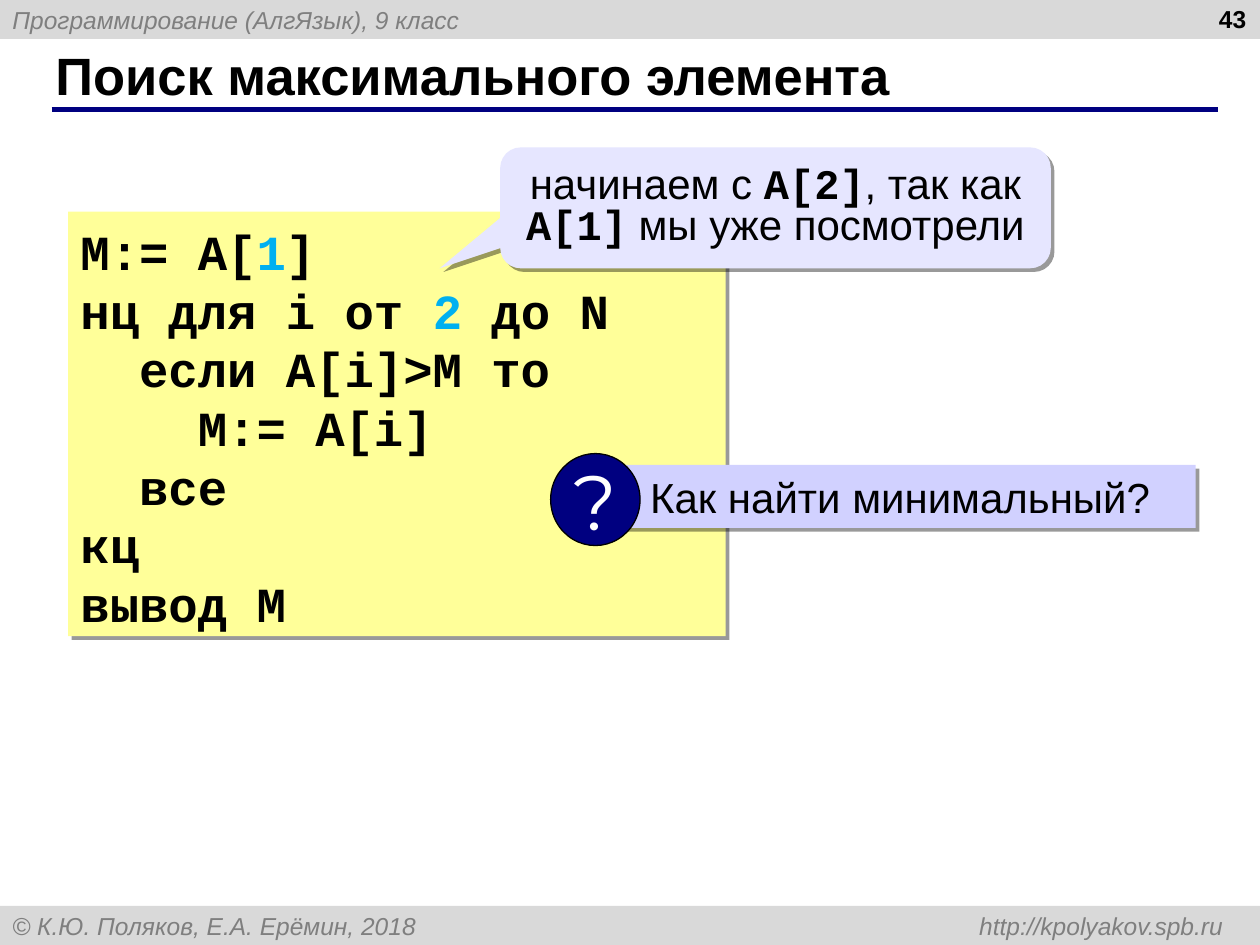
"""Builds the programming slide on finding the maximum element of an array."""
from lxml import etree
from pptx import Presentation
from pptx import util as u
from pptx.dml.color import RGBColor
from pptx.enum import shapes, text
from pptx.oxml import ns

BLACK = RGBColor(0, 0, 0)
WHITE = RGBColor(255, 255, 255)
NAVY = RGBColor(0, 0, 128)
BAR_GRAY = RGBColor(0xD9, 0xD9, 0xD9)
TEXT_GRAY = RGBColor(0x7F, 0x7F, 0x7F)
YELLOW = RGBColor(0xFF, 0xFF, 0x99)
LAVENDER = RGBColor(0xE6, 0xE6, 0xFF)
LILAC = RGBColor(0xD1, 0xD1, 0xFF)
CYAN = RGBColor(0, 0xB0, 0xF0)

TITLE = "Поиск максимального элемента"
SLIDE_NUMBER = "43"
HEADER = "Программирование (АлгЯзык), 9 класс"
FOOTER = "© К.Ю. Поляков, Е.А. Ерёмин, 2018\thttp://kpolyakov.spb.ru"
CODE = [
    ["M:= A[", ("1",), "]"],
    ["нц для i от ", ("2",), " до N"],
    ["  если A[i]>M то"],
    ["    M:= A[i]"],
    ["  все"],
    ["кц"],
    ["вывод M"],
]
CALLOUT = [["начинаем с ", ("A[2]",), ", так как ", ("A[1]",), " мы уже посмотрели"]]
QUESTION = "Как найти минимальный?"


def style_font(font, size, color, name="Arial", bold=False, italic=False):
    font.size = u.Pt(size)
    font.name = name
    font.bold = bold
    font.italic = italic
    font.color.rgb = color


def prepare_frame(shape, anchor, left=0.1, top=0.05, right=0.1):
    frame = shape.text_frame
    frame.auto_size = text.MSO_AUTO_SIZE.NONE
    frame.word_wrap = True
    frame.vertical_anchor = anchor
    frame.margin_left, frame.margin_right = u.Inches(left), u.Inches(right)
    frame.margin_top, frame.margin_bottom = u.Inches(top), u.Inches(0.05)
    return frame


def add_box(parent, kind, place, fill, shadow=False):
    shape = parent.add_shape(kind, *map(u.Inches, place))
    shape.fill.solid()
    shape.fill.fore_color.rgb = fill
    shape.line.fill.background()
    shape.shadow.inherit = False
    if shadow:
        effects = shape._element.spPr.find(ns.qn("a:effectLst"))
        outer = etree.SubElement(effects, ns.qn("a:outerShdw"), dist=str(u.Pt(3)),
                                 dir="2700000", algn="ctr", rotWithShape="0")
        color = etree.SubElement(outer, ns.qn("a:srgbClr"), val="000000")
        etree.SubElement(color, ns.qn("a:alpha"), val="40000")
    return shape


def write_line(frame, line, align=text.PP_ALIGN.LEFT, **style):
    paragraph = frame.paragraphs[0]
    paragraph.text = line
    paragraph.alignment = align
    style_font(paragraph.font, **style)
    return paragraph


def write_runs(frame, lines, align, spacing, plain, marked):
    for index, line in enumerate(lines):
        paragraph = frame.add_paragraph() if index else frame.paragraphs[0]
        paragraph.alignment = align
        paragraph.line_spacing = spacing
        for piece in line:
            is_marked = isinstance(piece, tuple)
            run = paragraph.add_run()
            run.text = piece[0] if is_marked else piece
            style_font(run.font, **(marked if is_marked else plain))


def add_bars(slide):
    for top, line in ((0, HEADER), (7.19, FOOTER)):
        bar = add_box(slide.shapes, shapes.MSO_SHAPE.RECTANGLE, (0, top, 10, 0.31), BAR_GRAY)
        frame = prepare_frame(bar, text.MSO_ANCHOR.MIDDLE)
        if "\t" in line:
            properties = frame.paragraphs[0]._p.get_or_add_pPr()
            tabs = etree.SubElement(properties, ns.qn("a:tabLst"))
            etree.SubElement(tabs, ns.qn("a:tab"), pos=str(u.Inches(9.61)), algn="r")
        write_line(frame, line, size=14, color=TEXT_GRAY, italic=True)


def add_heading(slide):
    rule = slide.shapes.add_connector(shapes.MSO_CONNECTOR.STRAIGHT,
                                      *map(u.Inches, (0.41, 0.87, 9.67, 0.87)))
    rule.line.color.rgb = NAVY
    rule.line.width = u.Pt(3)
    etree.SubElement(rule._element.spPr, ns.qn("a:effectLst"))
    title = slide.shapes.title
    title.left, title.top, title.width, title.height = map(u.Inches, (0.34, 0.33, 9.16, 0.52))
    write_line(prepare_frame(title, text.MSO_ANCHOR.MIDDLE), TITLE,
               size=30, color=BLACK, bold=True)
    number = slide.shapes.add_textbox(*map(u.Inches, (7.66, -0.02, 2.33, 0.52)))
    write_line(prepare_frame(number, text.MSO_ANCHOR.TOP), SLIDE_NUMBER,
               text.PP_ALIGN.RIGHT, size=14, color=BLACK, bold=True)


def add_code(slide):
    box = add_box(slide.shapes, shapes.MSO_SHAPE.RECTANGLE,
                  (0.54, 1.68, 5.22, 3.37), YELLOW, shadow=True)
    code_style = dict(size=28, name="Courier New", bold=True)
    write_runs(prepare_frame(box, text.MSO_ANCHOR.TOP, top=0.08, right=0), CODE,
               text.PP_ALIGN.LEFT, u.Pt(33.5),
               dict(code_style, color=BLACK), dict(code_style, color=CYAN))


def add_callout(slide):
    callout = add_box(slide.shapes, shapes.MSO_SHAPE.ROUNDED_RECTANGULAR_CALLOUT,
                      (3.97, 1.17, 4.37, 0.96), LAVENDER, shadow=True)
    for index, value in enumerate((-0.61, 0.5, 0.17)):
        callout.adjustments[index] = value
    write_runs(prepare_frame(callout, text.MSO_ANCHOR.MIDDLE), CALLOUT,
               text.PP_ALIGN.CENTER, 0.8, dict(size=24, color=BLACK),
               dict(size=24, color=BLACK, name="Courier New", bold=True))


def add_question(slide):
    group = slide.shapes.add_group_shape()
    banner = add_box(group.shapes, shapes.MSO_SHAPE.RECTANGLE,
                     (4.88, 3.69, 4.61, 0.5), LILAC, shadow=True)
    write_line(prepare_frame(banner, text.MSO_ANCHOR.MIDDLE, left=0.28), QUESTION,
               size=24, color=BLACK)
    badge = add_box(group.shapes, shapes.MSO_SHAPE.OVAL, (4.37, 3.6, 0.71, 0.73), NAVY)
    badge.line.color.rgb = BLACK
    badge.line.width = u.Pt(0.75)
    frame = prepare_frame(badge, text.MSO_ANCHOR.MIDDLE)
    frame.word_wrap = False
    write_line(frame, "?", text.PP_ALIGN.CENTER, size=44, color=WHITE, name="Montserrat")


def main():
    presentation = Presentation()
    presentation.slide_width, presentation.slide_height = u.Inches(10), u.Inches(7.5)
    slide = presentation.slides.add_slide(presentation.slide_layouts[5])
    for add_part in (add_bars, add_heading, add_code, add_callout, add_question):
        add_part(slide)
    presentation.save("out.pptx")


if __name__ == "__main__":
    main()
